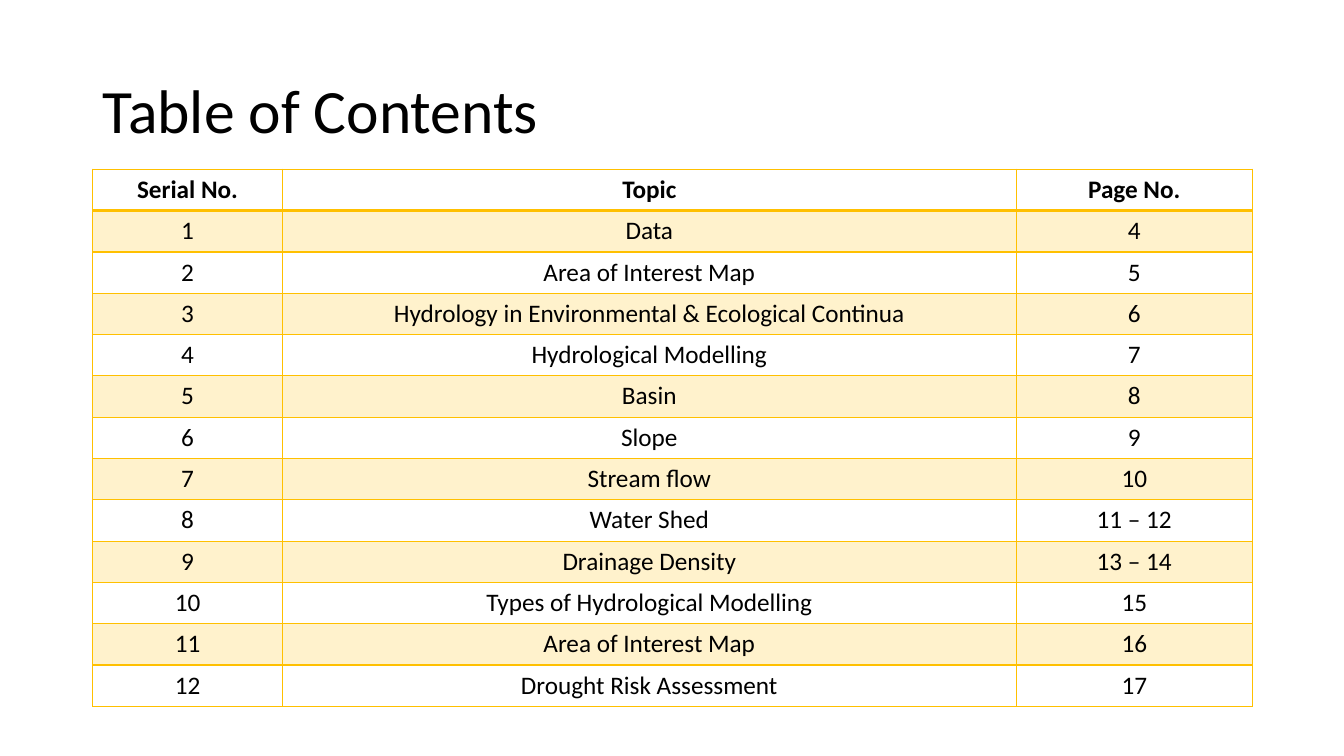
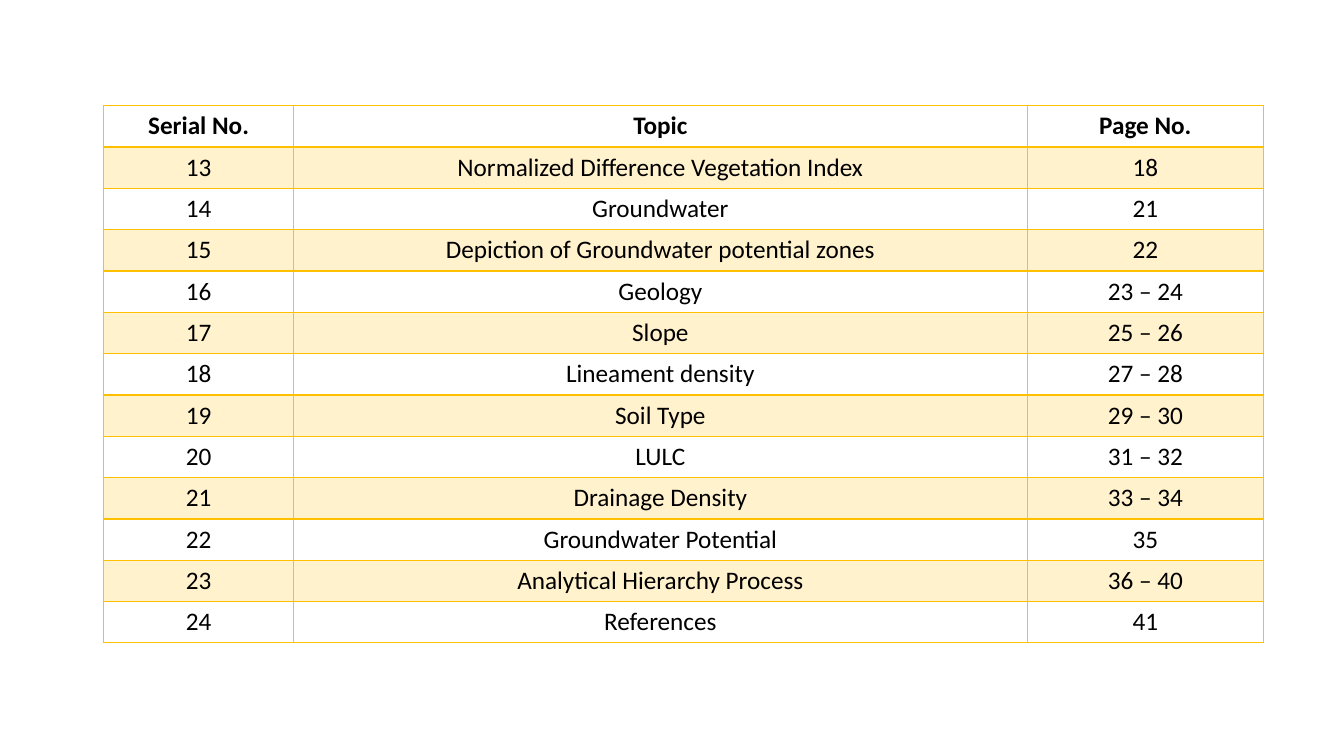
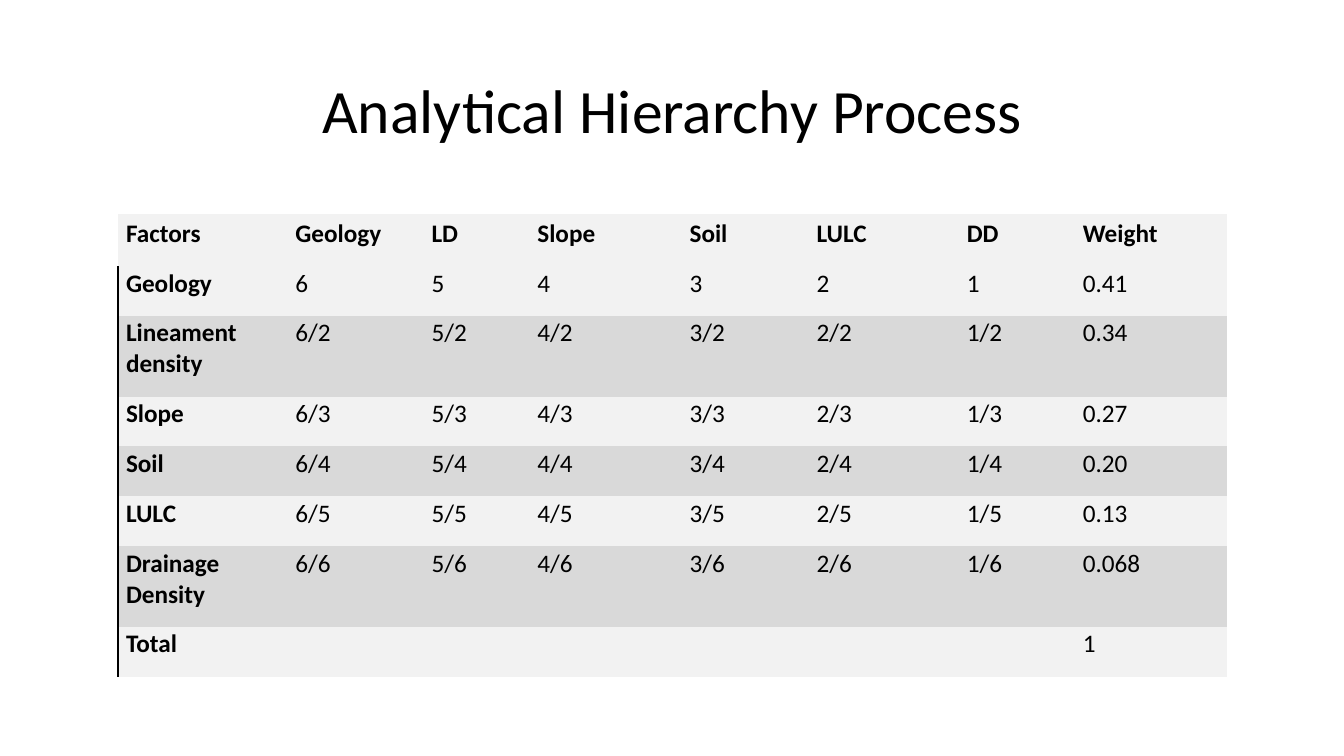
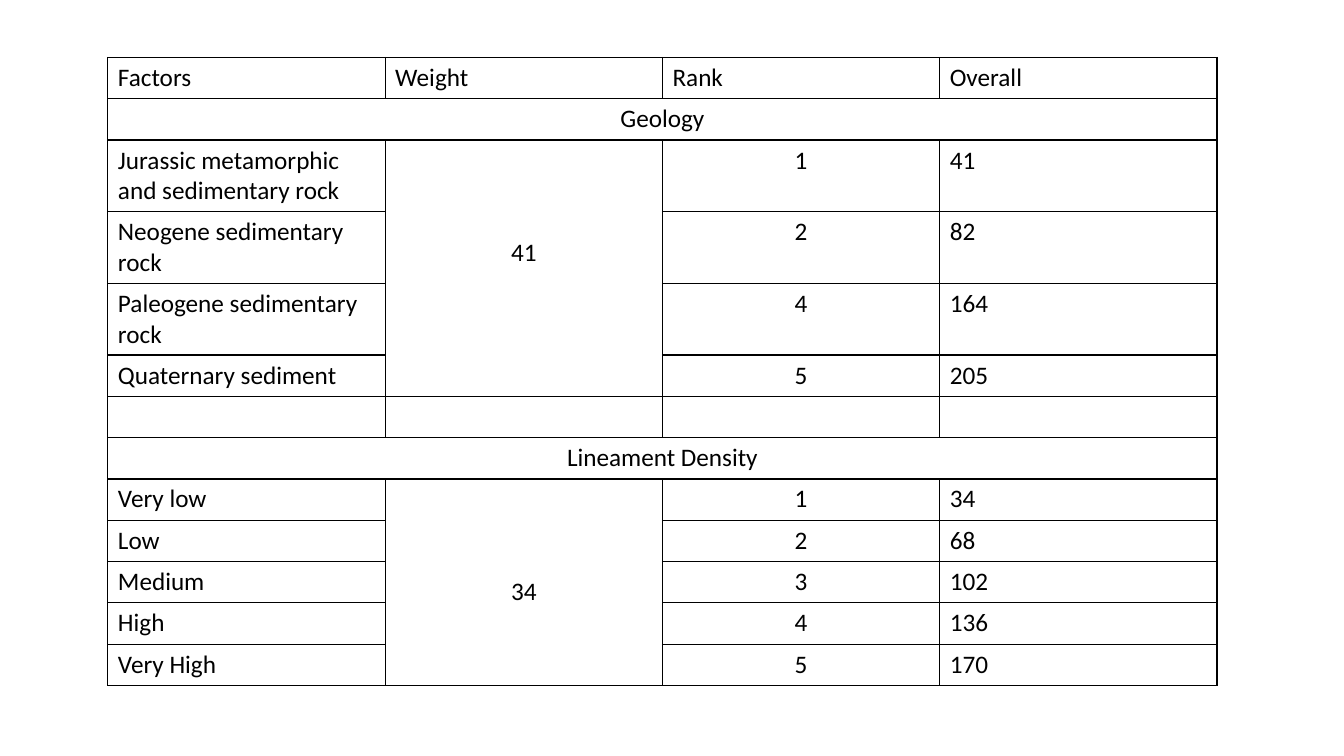
from lxml import etree
from pptx import Presentation
from pptx.dml.color import RGBColor
from pptx.enum.text import MSO_ANCHOR, PP_ALIGN
from pptx.oxml.ns import qn
from pptx.util import Inches, Pt

LEFT, CENTER = PP_ALIGN.LEFT, PP_ALIGN.CENTER
TOP, MIDDLE, BOTTOM = MSO_ANCHOR.TOP, MSO_ANCHOR.MIDDLE, MSO_ANCHOR.BOTTOM
TITLE_ONLY, BLANK = 5, 6
PLAIN_STYLE = "{2D5ABB26-0587-4C30-8999-92F81FD0307C}"
FONT = "Calibri"
BLACK, GOLD, LIGHT, GREY = "000000", "FFC000", "F2F2F2", "D9D9D9"
ROW = 0.41
CONTENTS_COLS = [1.88, 7.28, 2.34]
CELL_INSETS = (0.1, 0.05, 0.1, 0.05)
FACTOR_INSETS = (0.08, 0.02, 0.11, 0.17)

CONTENTS_HEAD = ("Serial No.", "Topic", "Page No.")
CONTENTS_FIRST = [
    ("Data", "4"),
    ("Area of Interest Map", "5"),
    ("Hydrology in Environmental & Ecological Continua", "6"),
    ("Hydrological Modelling", "7"),
    ("Basin", "8"),
    ("Slope", "9"),
    ("Stream flow", "10"),
    ("Water Shed", "11 – 12"),
    ("Drainage Density", "13 – 14"),
    ("Types of Hydrological Modelling", "15"),
    ("Area of Interest Map", "16"),
    ("Drought Risk Assessment", "17"),
]
CONTENTS_SECOND = [
    ("Normalized Difference Vegetation Index", "18"),
    ("Groundwater", "21"),
    ("Depiction of Groundwater potential zones", "22"),
    ("Geology", "23 – 24"),
    ("Slope", "25 – 26"),
    ("Lineament density", "27 – 28"),
    ("Soil Type", "29 – 30"),
    ("LULC", "31 – 32"),
    ("Drainage Density", "33 – 34"),
    ("Groundwater Potential", "35"),
    ("Analytical Hierarchy Process", "36 – 40"),
    ("References", "41"),
]
FACTOR_HEAD = ["Factors", "Geology", "LD", "Slope", "Soil", "LULC", "DD", "Weight"]
FACTOR_WEIGHTS = [
    ("Geology", "0.41"),
    ("Lineament density", "0.34"),
    ("Slope", "0.27"),
    ("Soil", "0.20"),
    ("LULC", "0.13"),
    ("Drainage Density", "0.068"),
]
RANK_GROUPS = [
    ("Geology", 41, [
        ("Jurassic metamorphic and sedimentary rock", 1),
        ("Neogene sedimentary rock", 2),
        ("Paleogene sedimentary rock", 4),
        ("Quaternary sediment", 5),
    ]),
    ("Lineament Density", 34, [
        ("Very low", 1),
        ("Low", 2),
        ("Medium", 3),
        ("High", 4),
        ("Very High", 5),
    ]),
]


def rgb(value):
    return RGBColor.from_string(value)


def write(tf, text, size=18, bold=False, color=BLACK, align=LEFT, spacing=None):
    p = tf.paragraphs[0]
    p.alignment = align
    p.line_spacing = spacing
    if text:
        r = p.add_run()
        r.text = text
        r.font.name = FONT
        r.font.size = Pt(size)
        r.font.bold = bold
        r.font.color.rgb = rgb(color)


def add_title(slide, text, align=LEFT):
    title = slide.shapes.title
    title.left, title.top = Inches(0.92), Inches(0.4)
    title.width, title.height = Inches(11.5), Inches(1.45)
    title.text_frame.vertical_anchor = MIDDLE
    write(title.text_frame, text, size=44, align=align, spacing=0.9)


def set_borders(cell, borders):
    tc_pr = cell._tc.get_or_add_tcPr()
    for side in "LRTB":
        if side in borders:
            color, width = borders[side]
            ln = etree.SubElement(tc_pr, qn(f"a:ln{side}"), w=str(Pt(width)))
            fill = etree.SubElement(ln, qn("a:solidFill"))
            etree.SubElement(fill, qn("a:srgbClr"), val=color)


def set_fill(cell, color=None, alpha=None):
    if color is None:
        cell.fill.background()
        return
    cell.fill.solid()
    cell.fill.fore_color.rgb = rgb(color)
    if alpha is not None:
        clr = cell._tc.tcPr.find(qn("a:solidFill")).find(qn("a:srgbClr"))
        etree.SubElement(clr, qn("a:alpha"), val=str(alpha * 1000))


def format_cell(cell, text, borders=None, fill=None, alpha=None,
                insets=CELL_INSETS, anchor=TOP, **text_format):
    set_borders(cell, borders or {})
    set_fill(cell, fill, alpha)
    (cell.margin_left, cell.margin_top,
     cell.margin_right, cell.margin_bottom) = map(Inches, insets)
    cell.vertical_anchor = anchor
    write(cell.text_frame, text, **text_format)


def add_grid(slide, left, top, cols, rows, data, cell_format):
    frame = slide.shapes.add_table(
        len(rows), len(cols), Inches(left), Inches(top),
        Inches(sum(cols)), Inches(sum(rows)))
    table = frame.table
    table.first_row = table.horz_banding = False
    table._tbl.tblPr.find(qn("a:tableStyleId")).text = PLAIN_STYLE
    for col, width in zip(table.columns, cols):
        col.width = Inches(width)
    for row, height in zip(table.rows, rows):
        row.height = Inches(height)
    for i, texts in enumerate(data):
        for j, text in enumerate(texts):
            format_cell(table.cell(i, j), text, **cell_format(i, j))
    return table


def all_sides(color):
    return dict.fromkeys("LRTB", (color, 1))


def contents_format(i, j):
    borders = all_sides(GOLD)
    if i == 0:
        borders["B"] = (GOLD, 2)
    elif i == 1:
        borders["T"] = (GOLD, 2)
    banded = i % 2 == 1
    return dict(borders=borders, fill=GOLD if banded else None,
                alpha=20 if banded else None, bold=i == 0, align=CENTER)


def add_contents(slide, left, top, first_number, topics):
    data = [CONTENTS_HEAD]
    data += [(str(n), *topic) for n, topic in enumerate(topics, first_number)]
    add_grid(slide, left, top, CONTENTS_COLS, [ROW] * len(data), data, contents_format)


def factor_format(i, j):
    return dict(
        borders={"L": (BLACK, 1)} if i and j == 0 else None,
        fill=GREY if i and i % 2 == 0 else LIGHT,
        insets=FACTOR_INSETS,
        anchor=TOP if i else BOTTOM,
        bold=i == 0 or j == 0)


def add_factors(slide):
    count = len(FACTOR_WEIGHTS)
    data = [FACTOR_HEAD]
    for n, (factor, weight) in enumerate(FACTOR_WEIGHTS, 1):
        divisor = f"/{n}" if n > 1 else ""
        ratios = [f"{k}{divisor}" for k in range(count, 0, -1)]
        data.append([factor, *ratios, weight])
    data.append(["Total", *[""] * count, "1"])
    cols = [1.68, 1.35, 1.05, 1.51, 1.26, 1.49, 1.15, 1.51]
    rows = [0.52, 0.45, 0.67] + [0.45] * 5
    add_grid(slide, 1.17, 2.12, cols, rows, data, factor_format)


def add_ranks(slide):
    data = [("Factors", "Weight", "Rank", "Overall")]
    headings, weights = [], []
    for name, weight, ranks in RANK_GROUPS:
        if headings:
            data.append([""] * 4)
        headings.append(len(data))
        data.append((name, "", "", ""))
        weights.append((len(data), len(ranks)))
        for k, (label, rank) in enumerate(ranks):
            data.append((label, "" if k else str(weight), str(rank), str(weight * rank)))
    weight_rows = [start for start, _ in weights]

    def rank_format(i, j):
        centered = i in headings or (i and j in (1, 2))
        lowered = j == 1 and i in weight_rows
        return dict(borders=all_sides(BLACK), align=CENTER if centered else LEFT,
                    insets=(0.1, 0.97, 0.1, 0.05) if lowered else CELL_INSETS)

    table = add_grid(slide, 1.07, 0.57, [2.75] * 4, [ROW] * len(data), data, rank_format)
    for i in headings:
        table.cell(i, 0).merge(table.cell(i, 3))
    for start, count in weights:
        table.cell(start, 1).merge(table.cell(start + count - 1, 1))


def main():
    prs = Presentation()
    prs.slide_width, prs.slide_height = Inches(13.33), Inches(7.5)

    def new_slide(layout):
        return prs.slides.add_slide(prs.slide_layouts[layout])

    slide = new_slide(TITLE_ONLY)
    add_title(slide, "Table of Contents")
    add_contents(slide, 0.92, 1.68, 1, CONTENTS_FIRST)

    add_contents(new_slide(BLANK), 1.03, 1.05, len(CONTENTS_FIRST) + 1, CONTENTS_SECOND)

    slide = new_slide(TITLE_ONLY)
    add_title(slide, "Analytical Hierarchy Process", align=CENTER)
    add_factors(slide)

    add_ranks(new_slide(BLANK))
    prs.save("out.pptx")


if __name__ == "__main__":
    main()
